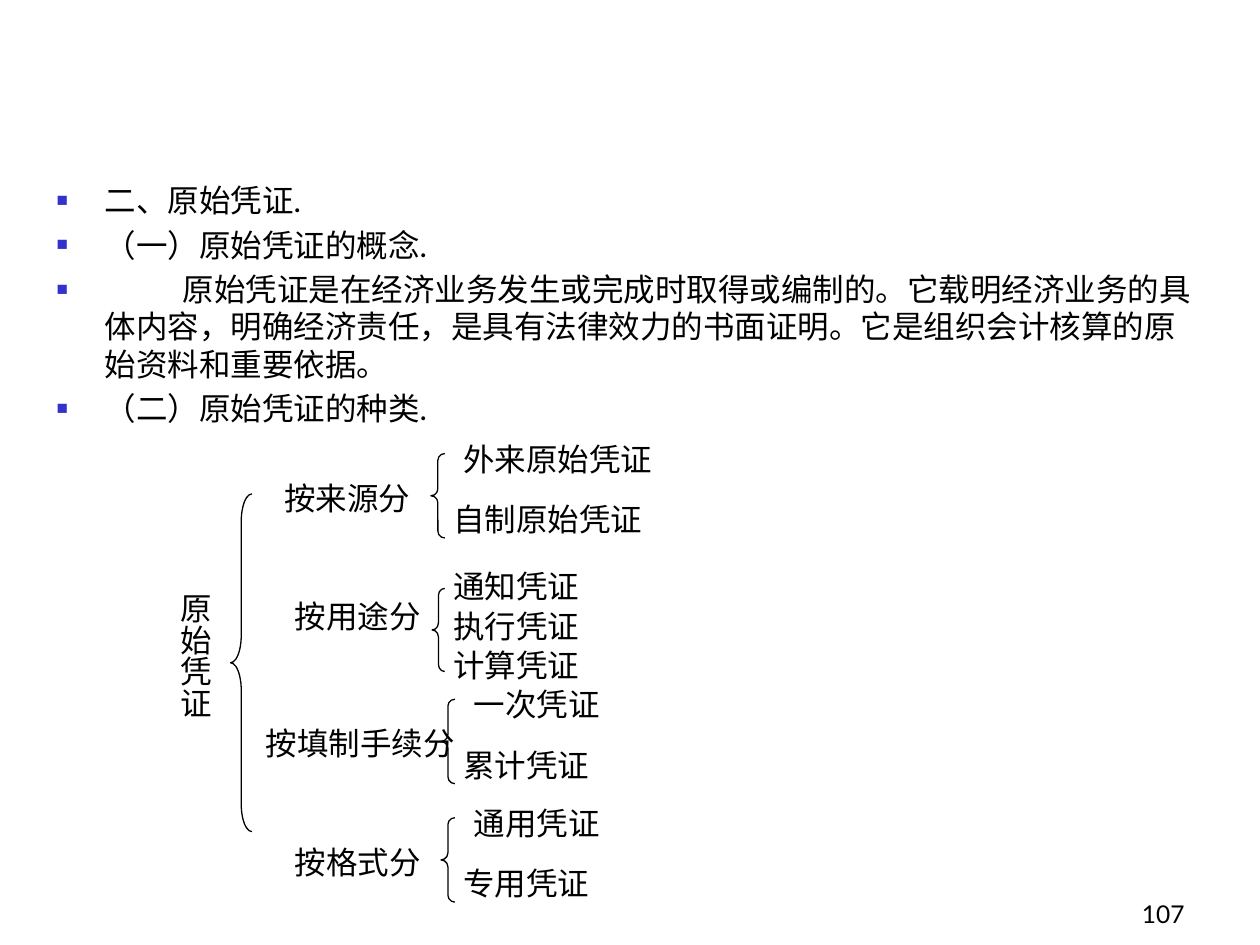
from lxml import etree
from pptx import Presentation
from pptx.dml.color import RGBColor
from pptx.enum.shapes import MSO_SHAPE
from pptx.enum.text import MSO_ANCHOR, MSO_AUTO_SIZE, PP_ALIGN
from pptx.oxml.ns import qn
from pptx.util import Inches, Pt

LEFT_BRACE = MSO_SHAPE.LEFT_BRACE
BOTTOM, RIGHT = MSO_ANCHOR.BOTTOM, PP_ALIGN.RIGHT
NO_FIT, GROW = MSO_AUTO_SIZE.NONE, MSO_AUTO_SIZE.SHAPE_TO_FIT_TEXT

BODY = [
    "二、原始凭证.",
    "（一）原始凭证的概念.",
    "\t原始凭证是在经济业务发生或完成时取得或编制的。它载明经济业务的具体内容，"
    "明确经济责任，是具有法律效力的书面证明。它是组织会计核算的原始资料和重要依据。",
    "（二）原始凭证的种类.",
]
# label, label left, items left, top, items
PAIRS = [
    ("按来源分", 2.16, 3.5, 3.44, ("外来原始凭证", "自制原始凭证")),
    ("按填制手续分", 2.01, 3.58, 5.39, ("一次凭证", "累计凭证")),
    ("按格式分", 2.24, 3.58, 6.33, ("通用凭证", "专用凭证")),
]
USES = ["通知凭证", "执行凭证", "计算凭证"]


def rgb(value):
    return RGBColor.from_string(value)


def box(*lengths):
    return [Inches(v) for v in lengths]


def apply(target, values):
    for name, value in values.items():
        setattr(target, name, value)


class Deck:
    ink, accent = "000000", "3333CC"
    body_font, label_font = "Lato", "Times New Roman"

    def __init__(self):
        self.prs = Presentation()
        apply(self.prs, {"slide_width": Inches(10), "slide_height": Inches(7.5)})
        self.s = self.prs.slides.add_slide(self.prs.slide_layouts[1])
        title = self.s.shapes.title._element
        title.getparent().remove(title)

    def style(self, font, name, size=18):
        apply(font, {"name": name, "size": Pt(size)})
        font.color.rgb = rgb(self.ink)

    def bullet(self, p):
        """Add a square bullet, a hanging indent and a tab stop at one inch."""
        pPr = p._p.get_or_add_pPr()
        pPr.set("marL", str(Inches(0.38)))
        pPr.set("indent", str(-Inches(0.38)))
        clr = etree.SubElement(pPr, qn("a:buClr"))
        etree.SubElement(clr, qn("a:srgbClr"), val=self.accent)
        etree.SubElement(pPr, qn("a:buSzPct"), val="60000")
        etree.SubElement(pPr, qn("a:buChar"), char="■")
        tabs = etree.SubElement(pPr, qn("a:tabLst"))
        etree.SubElement(tabs, qn("a:tab"), pos=str(Inches(1)), algn="l")

    def body(self, lines, *at):
        sp = self.s.placeholders[1]
        apply(sp, dict(zip(("left", "top", "width", "height"), box(*at))))
        tf = sp.text_frame
        tf.auto_size = NO_FIT
        for i, line in enumerate(lines):
            p = tf.paragraphs[0] if i == 0 else tf.add_paragraph()
            self.bullet(p)
            p.space_before = Pt(3.6 if i else 0)
            r = p.add_run()
            r.text = line
            self.style(r.font, self.body_font)

    def label(self, text, left, top, width, height=0.4, vertical=False):
        tf = self.s.shapes.add_textbox(*box(left, top, width, height)).text_frame
        apply(tf, {"word_wrap": True, "auto_size": GROW})
        if vertical:
            tf._txBody.bodyPr.set("vert", "eaVert")
        r = tf.paragraphs[0].add_run()
        r.text = text
        self.style(r.font, self.label_font)

    def brace(self, left, top, width, height, curl=0.5):
        sp = self.s.shapes.add_shape(LEFT_BRACE, *box(left, top, width, height))
        sp.shadow.inherit = False
        sp.fill.background()
        sp.line.color.rgb = rgb(self.ink)
        sp.line.width = Pt(0.75)
        sp.adjustments[0] = curl

    def pair(self, text, label_left, left, top, items):
        """Draw a label, its brace and two items, the first set slightly in."""
        self.label(text, label_left, top + 0.31, 1.8 if len(text) > 4 else 1.56)
        self.brace(left - 0.08, top + 0.16, 0.11, 0.67)
        self.label(items[0], left + 0.08, top, 2.08)
        self.label(items[1], left, top + 0.48, 2.52)

    def page_number(self, text, *at):
        tf = self.s.shapes.add_textbox(*box(*at)).text_frame
        apply(tf, {"word_wrap": True, "vertical_anchor": BOTTOM})
        p = tf.paragraphs[0]
        p.alignment = RIGHT
        r = p.add_run()
        r.text = text
        self.style(r.font, self.body_font, 14)


def main():
    deck = Deck()
    deck.page_number("107", 7.42, 6.92, 2.08, 0.5)
    deck.body(BODY, 0.35, 1.39, 9.21, 6.75)
    deck.brace(1.83, 3.92, 0.17, 2.68, 1.28)
    deck.label("原始凭证", 1.25, 4.61, 0.5, 2.48, vertical=True)
    for branch in PAIRS:
        deck.pair(*branch)
    deck.label("按用途分", 2.24, 4.69, 1.56)
    deck.brace(3.43, 4.67, 0.1, 0.66, 0.56)
    for i, use in enumerate(USES):
        deck.label(use, 3.5, 4.45 + 0.315 * i, 2.52)
    deck.prs.save("out.pptx")


if __name__ == "__main__":
    main()
